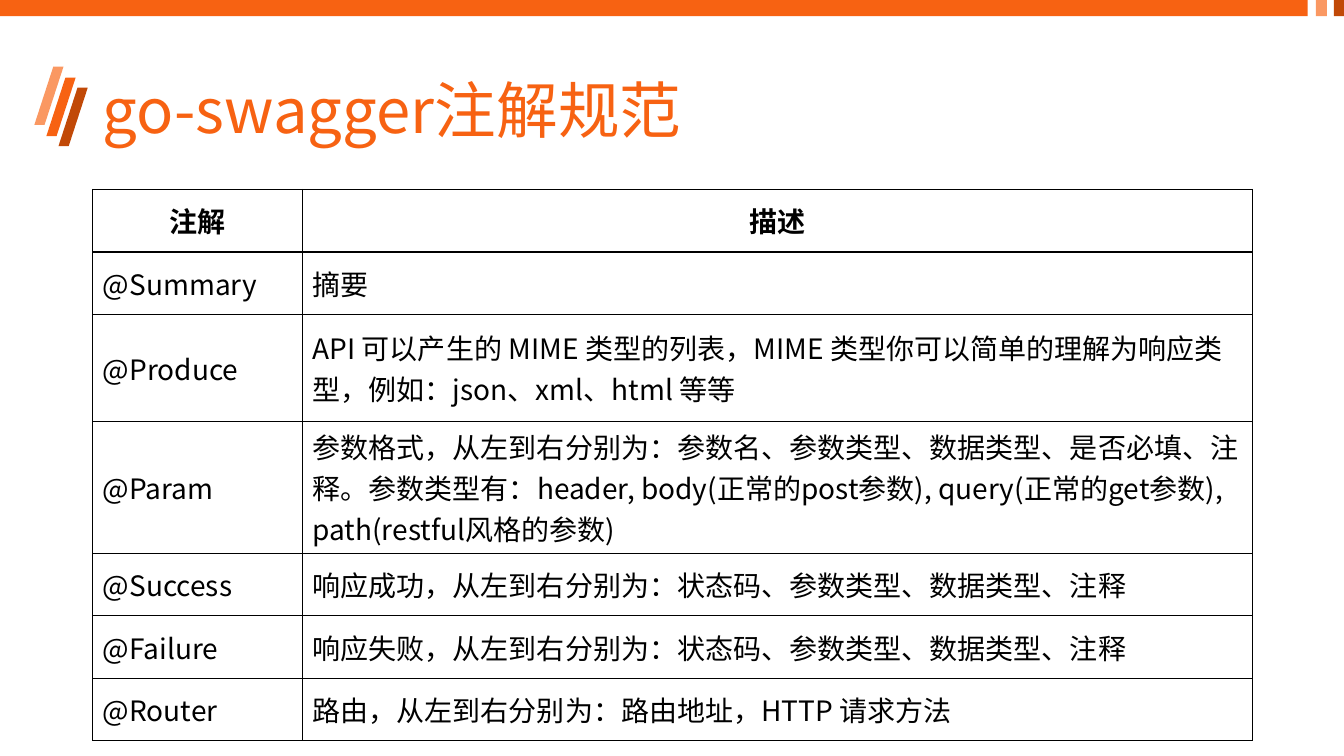
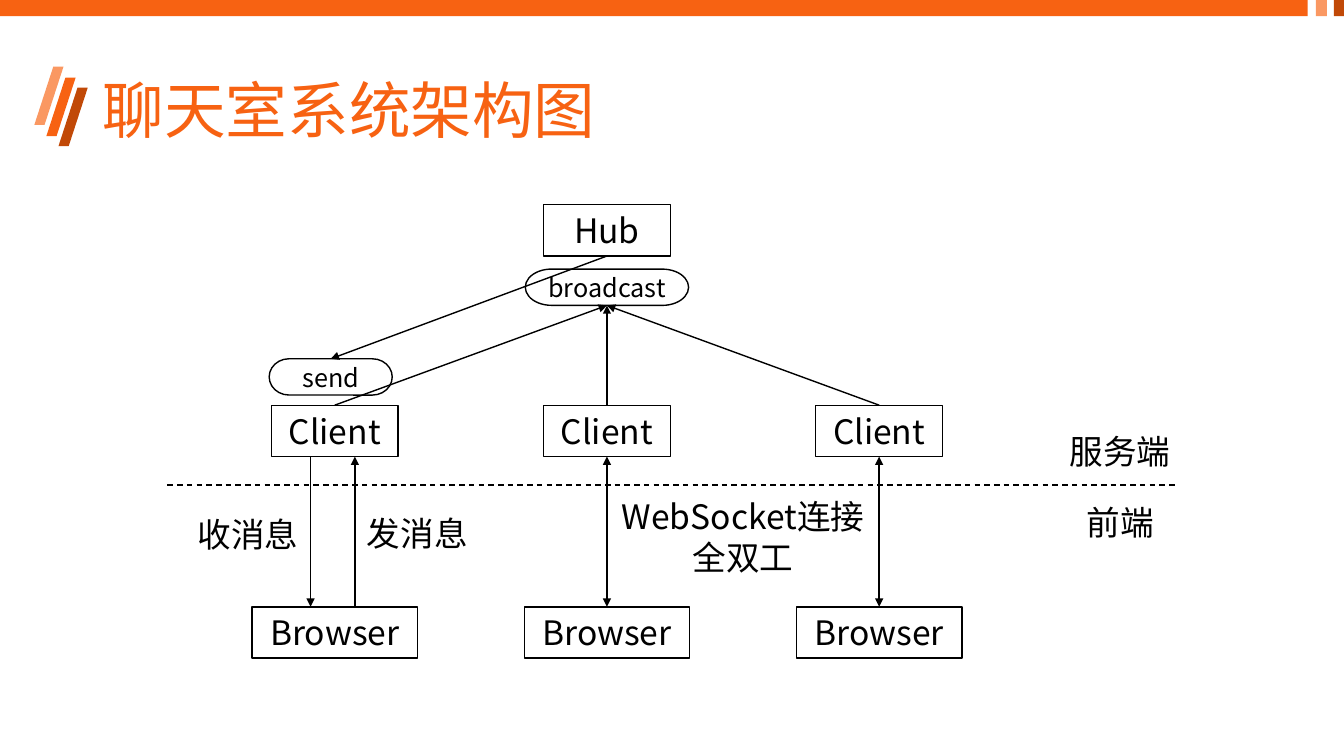
from lxml import etree
from pptx import Presentation
from pptx.dml.color import RGBColor
from pptx.enum.dml import MSO_LINE
from pptx.enum.shapes import MSO_CONNECTOR, MSO_SHAPE
from pptx.enum.text import MSO_ANCHOR, PP_ALIGN
from pptx.oxml.ns import qn
from pptx.util import Pt

RECTANGLE = MSO_SHAPE.RECTANGLE
PARALLELOGRAM = MSO_SHAPE.PARALLELOGRAM
TERMINATOR = MSO_SHAPE.FLOWCHART_TERMINATOR
STRAIGHT = MSO_CONNECTOR.STRAIGHT
DASH = MSO_LINE.DASH
LEFT, CENTER = PP_ALIGN.LEFT, PP_ALIGN.CENTER
TOP_ANCHOR, MIDDLE = MSO_ANCHOR.TOP, MSO_ANCHOR.MIDDLE

EMU_PER_PX = 9144  # 100 px to the inch
TOP_SITE, BOTTOM_SITE = 0, 2

ANNOTATIONS = [
    ("注解", "描述", 62),
    ("@Summary", "摘要", 62),
    ("@Produce", "API 可以产生的 MIME 类型的列表，MIME 类型你可以简单的理解为响应类型，"
                 "例如：json、xml、html 等等", 106),
    ("@Param", "参数格式，从左到右分别为：参数名、参数类型、数据类型、是否必填、注释。"
               "参数类型有：header, body(正常的post参数), query(正常的get参数), "
               "path(restful风格的参数)", 131),
    ("@Success", "响应成功，从左到右分别为：状态码、参数类型、数据类型、注释", 62),
    ("@Failure", "响应失败，从左到右分别为：状态码、参数类型、数据类型、注释", 62),
    ("@Router", "路由，从左到右分别为：路由地址，HTTP 请求方法", 62),
]


def px(length):
    return length * EMU_PER_PX


def color(value):
    return RGBColor.from_string(value)


class Deck:
    FONT = "Noto Sans CJK SC"
    INK = "000000"
    ORANGE, LIGHT, DARK = "F76212", "FA9862", "C14907"

    def __init__(self):
        self.presentation = Presentation()
        self.presentation.slide_width = px(1333)
        self.presentation.slide_height = px(750)
        self.slide = None

    def new_slide(self, title):
        """Start a slide with the top band, the slanted mark and its title."""
        self.slide = self.presentation.slides.add_slide(self.presentation.slide_layouts[6])
        for left, top, fill in ((46, 77, self.ORANGE), (34, 66, self.LIGHT), (58, 87, self.DARK)):
            stripe = self.shape(PARALLELOGRAM, left, top, 29, 58, fill=fill)
            stripe.adjustments[0] = 0.65
        for left, width, fill in ((0, 1297, self.ORANGE), (1305, 11, self.LIGHT),
                                  (1323, 10, self.DARK)):
            self.shape(RECTANGLE, left, 0, width, 16, fill=fill)
        self.text_box(92, 40, 1150, 145, [title], 44, self.ORANGE, LEFT, MIDDLE, 0.9)

    def style(self, paragraph, text, size, ink=INK, align=LEFT, bold=False):
        paragraph.text = text
        paragraph.alignment = align
        font = paragraph.font
        font.size, font.bold = Pt(size), bold
        font.color.rgb = color(ink)
        font.name = self.FONT
        properties = paragraph._p.pPr.find(qn("a:defRPr"))
        etree.SubElement(properties, qn("a:ea"), typeface=self.FONT)

    def text_box(self, left, top, width, height, lines, size, ink, align, anchor, spacing):
        box = self.slide.shapes.add_textbox(px(left), px(top), px(width), px(height))
        frame = box.text_frame
        frame.word_wrap = True
        frame.vertical_anchor = anchor
        for index, line in enumerate(lines):
            paragraph = frame.add_paragraph() if index else frame.paragraphs[0]
            paragraph.line_spacing = spacing
            self.style(paragraph, line, size, ink, align)

    def label(self, center, top, *lines, width=124):
        self.text_box(center - width // 2, top, width, 50 * len(lines), lines, 24,
                      self.INK, CENTER, TOP_ANCHOR, Pt(29))

    def shape(self, kind, left, top, width, height, fill=None):
        """Add a filled shape without outline, or an outlined one without fill."""
        shape = self.slide.shapes.add_shape(kind, px(left), px(top), px(width), px(height))
        shape.shadow.inherit = False
        if fill:
            shape.fill.solid()
            shape.fill.fore_color.rgb = color(fill)
            shape.line.fill.background()
        else:
            shape.fill.background()
            shape.line.color.rgb = color(self.INK)
            shape.line.width = Pt(1)
        return shape

    def node(self, text, center, top, width, height=51, kind=RECTANGLE, size=24):
        shape = self.shape(kind, center - width // 2, top, width, height)
        frame = shape.text_frame
        frame.word_wrap = False
        frame.vertical_anchor = MIDDLE
        frame.margin_left = frame.margin_right = frame.margin_top = frame.margin_bottom = 0
        self.style(frame.paragraphs[0], text, size, align=CENTER)
        return shape

    def line(self, start, end, arrows=(), dash=None):
        """Draw a line; arrows names the ends with heads: headEnd, tailEnd."""
        ends = [px(value) for value in (*start, *end)]
        connector = self.slide.shapes.add_connector(STRAIGHT, *ends)
        connector.line.color.rgb = color(self.INK)
        connector.line.width = Pt(1)
        if dash:
            connector.line.dash_style = dash
        properties = connector._element.spPr
        outline = properties.find(qn("a:ln"))
        for arrow in arrows:
            etree.SubElement(outline, qn("a:" + arrow), type="triangle")
        etree.SubElement(properties, qn("a:effectLst"))
        return connector

    def link(self, source, source_site, target, target_site, arrows=("tailEnd",)):
        connector = self.line((0, 0), (0, 0), arrows)
        connector.begin_connect(source, source_site)
        connector.end_connect(target, target_site)

    def border(self, cell):
        properties = cell._tc.get_or_add_tcPr()
        for side in ("lnL", "lnR", "lnT", "lnB"):
            edge = etree.SubElement(properties, qn("a:" + side), w=str(Pt(1)))
            fill = etree.SubElement(edge, qn("a:solidFill"))
            etree.SubElement(fill, qn("a:srgbClr"), val=self.INK)

    def table(self, left, top, widths, rows):
        """Add a table from rows of cell texts, each row ending with its height."""
        height = sum(row[-1] for row in rows)
        frame = self.slide.shapes.add_table(len(rows), len(widths), px(left), px(top),
                                            px(sum(widths)), px(height))
        table = frame.table
        table.first_row = table.horz_banding = False
        for column, width in zip(table.columns, widths):
            column.width = px(width)
        for row_index, (*texts, row_height) in enumerate(rows):
            table.rows[row_index].height = px(row_height)
            header = row_index == 0
            for column_index, text in enumerate(texts):
                cell = table.cell(row_index, column_index)
                cell.vertical_anchor = MIDDLE
                self.border(cell)
                cell.fill.background()
                self.style(cell.text_frame.paragraphs[0], text, 20,
                           align=CENTER if header else LEFT, bold=header)


def annotation_slide(deck):
    deck.new_slide("go-swagger注解规范")
    deck.table(92, 188, (208, 942), ANNOTATIONS)


def architecture_slide(deck):
    deck.new_slide("聊天室系统架构图")
    centers = [332 + 270 * index for index in range(3)]
    hub = deck.node("Hub", centers[1], 203, 126)
    broadcast = deck.node("broadcast", centers[1], 267, 162, 36, TERMINATOR, 18)
    send = deck.node("send", 328, 356, 122, 36, TERMINATOR, 18)
    clients = [deck.node("Client", center, 402, 126) for center in centers]
    browsers = [deck.node("Browser", center, 602, 164) for center in centers]

    deck.link(hub, BOTTOM_SITE, send, TOP_SITE)
    for client in clients:
        deck.link(client, TOP_SITE, broadcast, BOTTOM_SITE)
    for client, browser in zip(clients[1:], browsers[1:]):
        deck.link(client, BOTTOM_SITE, browser, TOP_SITE, ("headEnd", "tailEnd"))
    deck.line((308, 453), (308, 602), ("tailEnd",))
    deck.line((352, 602), (352, 453), ("tailEnd",))
    deck.line((166, 481), (1169, 481), dash=DASH)

    deck.label(246, 505, "收消息")
    deck.label(414, 504, "发消息")
    deck.label(737, 487, "WebSocket连接", "全双工", width=264)
    deck.label(1111, 422, "服务端")
    deck.label(1111, 493, "前端")


def main():
    deck = Deck()
    annotation_slide(deck)
    architecture_slide(deck)
    deck.presentation.save("out.pptx")


if __name__ == "__main__":
    main()
